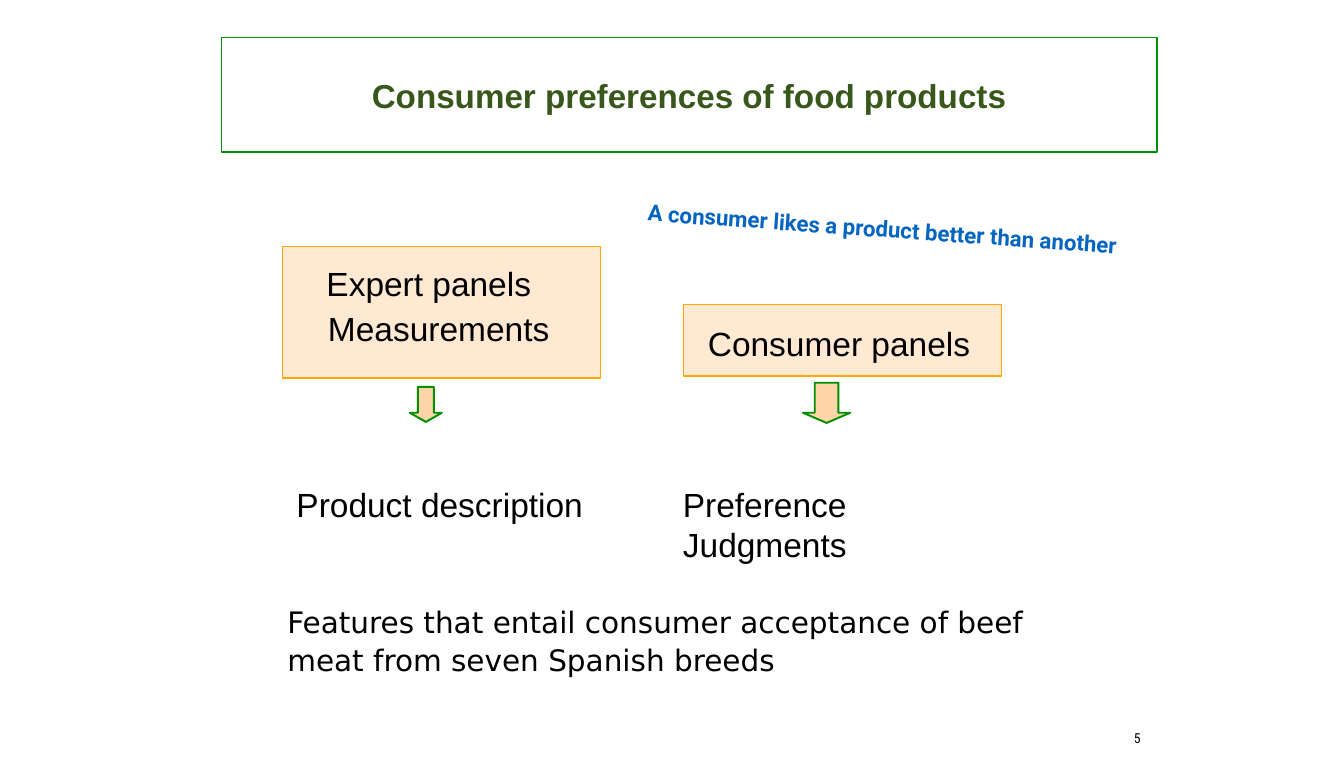
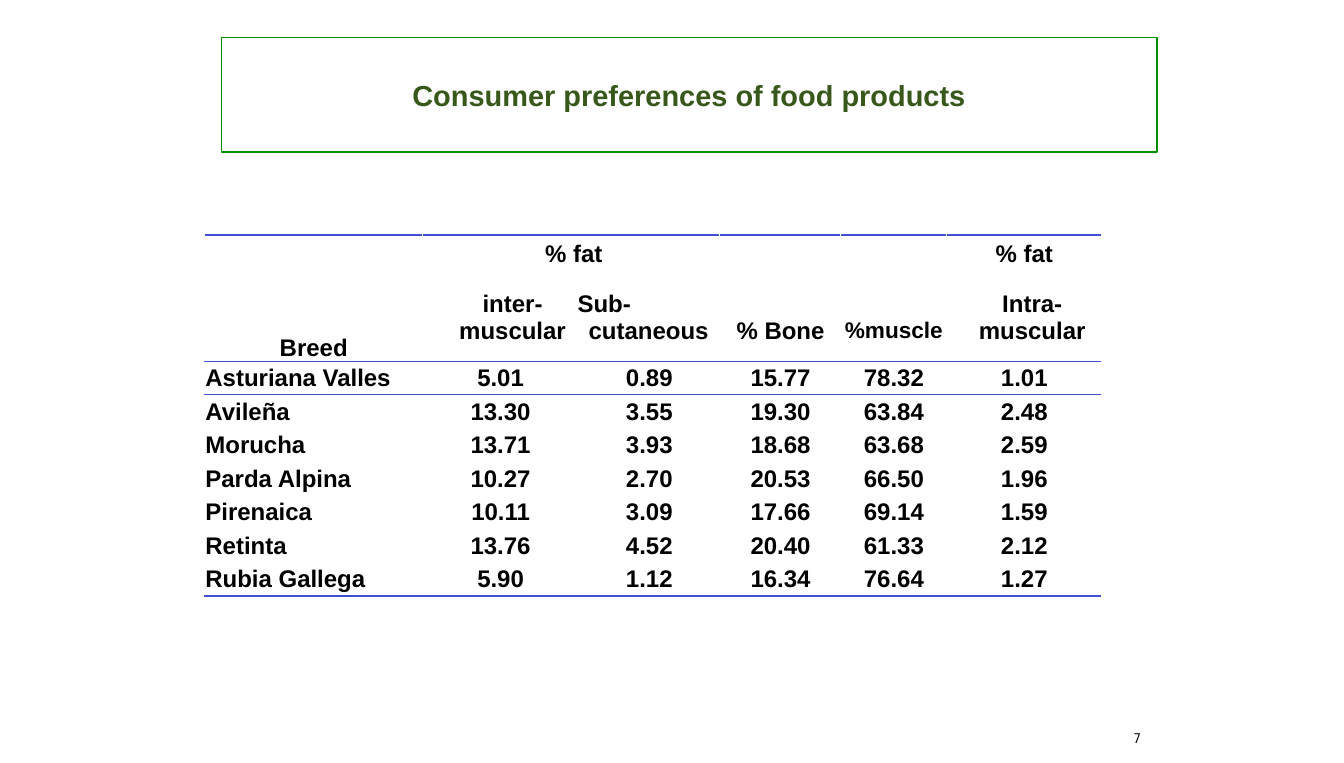
from dataclasses import dataclass
from lxml import etree
from pptx import Presentation
from pptx.dml.color import RGBColor
from pptx.enum.shapes import MSO_SHAPE
from pptx.enum.text import MSO_ANCHOR, MSO_AUTO_SIZE, PP_ALIGN
from pptx.oxml.ns import qn
from pptx.util import Inches, Pt

LEFT, CENTER, JUST = PP_ALIGN.LEFT, PP_ALIGN.CENTER, PP_ALIGN.JUSTIFY
TOP, MIDDLE, BOTTOM = MSO_ANCHOR.TOP, MSO_ANCHOR.MIDDLE, MSO_ANCHOR.BOTTOM
RECT, ARROW = MSO_SHAPE.RECTANGLE, MSO_SHAPE.DOWN_ARROW
NO_FIT = MSO_AUTO_SIZE.NONE


@dataclass(frozen=True)
class Style:
    """One kind of text: face, size, colour and weight."""
    face: str
    size: float
    color: str = "000000"
    bold: bool = False


@dataclass(frozen=True)
class Theme:
    green: str = "008F00"
    peach: str = "FFD5A9"
    amber: str = "FFA900"
    rule: str = "434ED6"
    title: Style = Style("Arial", 47, "38571A", True)
    small: Style = Style("Arial", 41, "38571A", True)
    label: Style = Style("Arial", 47.4)
    goal: Style = Style("DejaVu Sans", 41.8)
    claim: Style = Style("Roboto", 31.5, "0365C0", True)
    page: Style = Style("Roboto Condensed", 19.5)
    cell: Style = Style("Arial", 34, bold=True)
    tight: Style = Style("Arial", 32, bold=True)


THEME = Theme()
TITLE = "Consumer preferences of food products"

COLS = (4.29, 3.06, 2.79, 2.37, 2.09, 3.04)
ROWS = (0.77, 1.72) + (0.66,) * 7
BREEDS = (
    ("Asturiana Valles", "5.01", "0.89", "15.77", "78.32", "1.01"),
    ("Avileña", "13.30", "3.55", "19.30", "63.84", "2.48"),
    ("Morucha", "13.71", "3.93", "18.68", "63.68", "2.59"),
    ("Parda Alpina", "10.27", "2.70", "20.53", "66.50", "1.96"),
    ("Pirenaica", "10.11", "3.09", "17.66", "69.14", "1.59"),
    ("Retinta", "13.76", "4.52", "20.40", "61.33", "2.12"),
    ("Rubia Gallega", "5.90", "1.12", "16.34", "76.64", "1.27"),
)
# Row to its ruled side and line width
RULES = {0: ("T", 3), 1: ("B", 1.5), 2: ("T", 1.5), 8: ("B", 3)}


def box(at):
    return [Inches(n) for n in at]


def write(frame, text, style, align=LEFT):
    """Fill a text frame, one paragraph per line of text."""
    frame.text = text
    for para in frame.paragraphs:
        para.alignment = align
        font = para.font
        font.name, font.size, font.bold = style.face, Pt(style.size), style.bold
        font.color.rgb = RGBColor.from_string(style.color)


def inset(frame, pad):
    frame.margin_left = frame.margin_right = Inches(pad)
    frame.margin_top = frame.margin_bottom = Inches(pad)


def outline(shape, color, width):
    shape.line.color.rgb = RGBColor.from_string(color)
    shape.line.width = Pt(width)


# Shared parts
def add_slide(deck, page, style):
    """Add a slide with its framed title and page number."""
    slide = deck.slides.add_slide(deck.slide_layouts[5])
    title = slide.shapes.title
    title.left, title.top, title.width, title.height = box((4.36, 0.74, 18.39, 2.25))
    outline(title, THEME.green, 2)
    frame = title.text_frame
    frame.auto_size, frame.vertical_anchor = NO_FIT, MIDDLE
    inset(frame, 0.11)
    write(frame, TITLE, style, CENTER)
    add_text(slide, (22.24, 14.3, 0.24, 0.44), page, THEME.page, CENTER, pad=0.06)
    return slide


def add_text(slide, at, text, style, align=LEFT, wrap=False, anchor=TOP, pad=0.08):
    shape = slide.shapes.add_textbox(*box(at))
    frame = shape.text_frame
    frame.word_wrap, frame.vertical_anchor = wrap, anchor
    inset(frame, pad)
    write(frame, text, style, align)
    return shape


def add_shape(slide, kind, at, line, width, alpha=None):
    shape = slide.shapes.add_shape(kind, *box(at))
    shape.shadow.inherit = False
    shape.fill.solid()
    shape.fill.fore_color.rgb = RGBColor.from_string(THEME.peach)
    if alpha:
        tint = shape.fill._xPr.find(".//" + qn("a:srgbClr"))
        etree.SubElement(tint, qn("a:alpha")).set("val", str(alpha * 1000))
    outline(shape, line, width)
    return shape


def add_arrow(slide, at, head):
    shape = add_shape(slide, ARROW, at, THEME.green, 2.75)
    shape.adjustments[0] = 0.5
    shape.adjustments[1] = head / min(at[2:])


# Table parts
def set_cell(cell, text, style=THEME.cell, align=CENTER, anchor=MIDDLE, left=0.03, top=0):
    cell.margin_left, cell.margin_top = Inches(left), Inches(top)
    cell.vertical_anchor = anchor
    write(cell.text_frame, text, style, align)


def add_rule(cell, side, width):
    line = etree.Element(qn("a:ln" + side), w=str(Pt(width)))
    fill = etree.SubElement(line, qn("a:solidFill"))
    etree.SubElement(fill, qn("a:srgbClr"), val=THEME.rule)
    cell._tc.get_or_add_tcPr().insert(0, line)


def add_grid(slide):
    """Add an empty table with its rules."""
    at = (4.01, 4.62, sum(COLS), sum(ROWS))
    table = slide.shapes.add_table(len(ROWS), len(COLS), *box(at)).table
    table.first_row = table.horz_banding = False
    for col, width in zip(table.columns, COLS):
        col.width = Inches(width)
    for i, (row, height) in enumerate(zip(table.rows, ROWS)):
        row.height = Inches(height)
        for cell in row.cells:
            cell.fill.background()
            inset(cell, 0)
            if i in RULES:
                add_rule(cell, *RULES[i])
    return table


# Slides
def panel_slide(deck):
    slide = add_slide(deck, "5", THEME.title)
    for at in ((5.56, 4.85, 6.25, 2.59), (13.44, 5.99, 6.25, 1.41)):
        add_shape(slide, RECT, at, THEME.amber, 2, alpha=50)
    add_arrow(slide, (8.06, 7.61, 0.63, 0.69), 0.18)
    add_arrow(slide, (15.79, 7.53, 0.93, 0.79), 0.2)
    labels = (
        ("Expert panels", 6.34, 5.09, 4.29),
        ("Measurements", 6.37, 5.98, 4.62),
        ("Consumer panels", 13.84, 6.27, 5.43),
        ("Product description", 5.75, 9.44, 5.91),
        ("Preference Judgments", 13.35, 9.44, 6.77),
    )
    for text, left, top, width in labels:
        add_text(slide, (left, top, width, 0.95), text, THEME.label, JUST)
    goal = add_text(
        slide, (5.57, 11.77, 15.98, 1.6),
        "Features that entail consumer acceptance of beef\vmeat from seven Spanish breeds",
        THEME.goal, wrap=True, anchor=MIDDLE)
    goal.text_frame.paragraphs[0].line_spacing = Pt(54)
    claim = add_text(
        slide, (12.17, 4.15, 10.36, 0.69),
        "A consumer likes a product better than another",
        THEME.claim, CENTER, wrap=True, anchor=MIDDLE)
    claim.rotation = 4


def breed_slide(deck):
    slide = add_slide(deck, "7", THEME.small)
    table = add_grid(slide)
    # Heads
    table.cell(0, 1).merge(table.cell(0, 2))
    set_cell(table.cell(0, 1), "% fat", left=0.12)
    set_cell(table.cell(0, 5), "% fat")
    set_cell(table.cell(1, 0), "Breed", anchor=BOTTOM)
    set_cell(table.cell(1, 1), "inter-muscular", left=0.5)
    set_cell(table.cell(1, 2), "Sub-\ncutaneous", left=0)
    table.cell(1, 2).text_frame.paragraphs[0].alignment = LEFT
    set_cell(table.cell(1, 3), "% Bone", top=0.53)
    set_cell(table.cell(1, 4), "%muscle", THEME.tight, top=0.53)
    set_cell(table.cell(1, 5), "Intra-muscular", left=0.34)
    # Values
    for i, breed in enumerate(BREEDS, 2):
        for j, text in enumerate(breed):
            set_cell(table.cell(i, j), text, align=CENTER if j else JUST)


def main():
    deck = Presentation()
    deck.slide_width, deck.slide_height = box((26.43, 15.01))
    panel_slide(deck)
    breed_slide(deck)
    deck.save("out.pptx")


if __name__ == "__main__":
    main()
